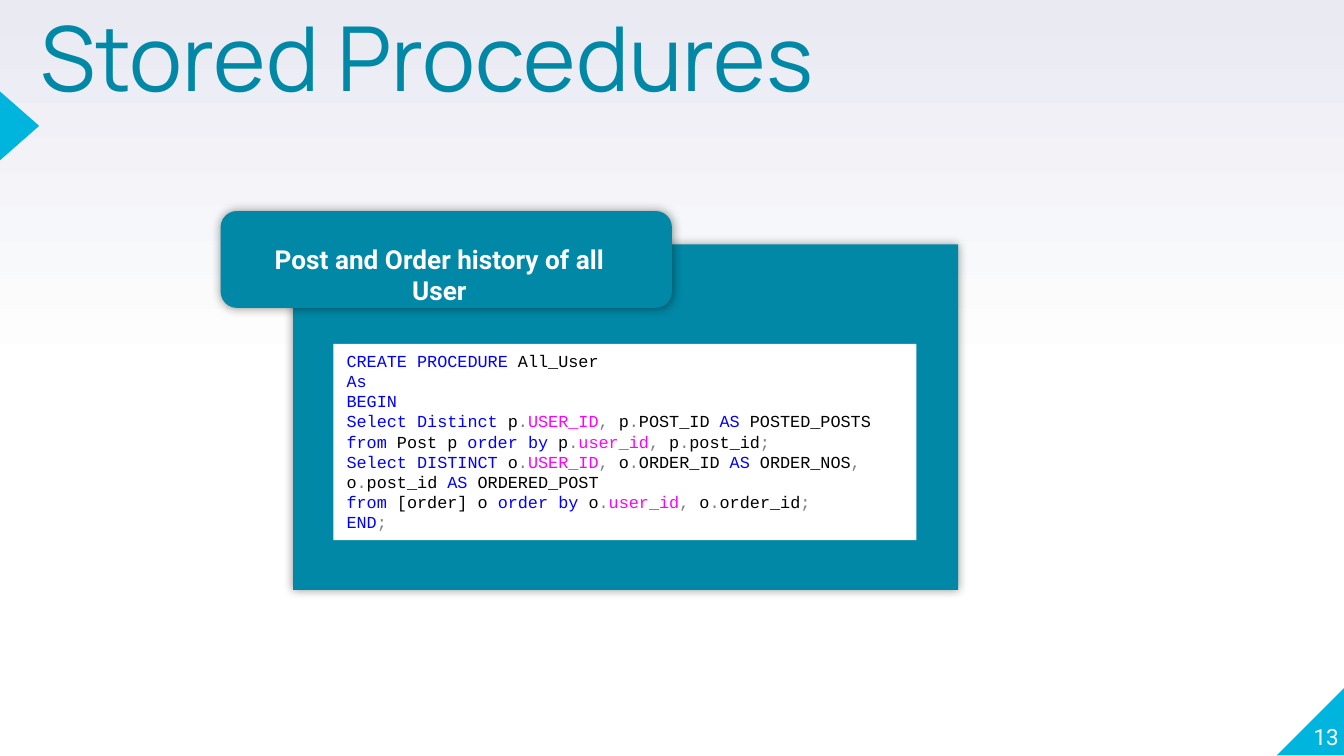
import copy
import itertools

import pptx
import pptx.dml.color
import pptx.enum.shapes
import pptx.enum.text
import pptx.oxml
import pptx.oxml.ns
import pptx.util

Cm = pptx.util.Cm
Kind = pptx.enum.shapes.MSO_SHAPE
Align = pptx.enum.text.PP_ALIGN
Anchor = pptx.enum.text.MSO_ANCHOR

HUES = {
    "teal": "0088A6", "cyan": "00B5DD", "white": "FFFFFF", "mist": "E9EAF2",
    "black": "000000", "blue": "0000FF", "grey": "808080", "pink": "FF00FF",
}
KEYS = {"create", "procedure", "as", "begin", "select", "distinct",
        "from", "order", "by", "end"}
CODE = [
    "CREATE PROCEDURE All_User",
    "As",
    "BEGIN",
    "Select Distinct p.USER_ID, p.POST_ID AS POSTED_POSTS "
    "from Post p order by p.user_id, p.post_id;",
    "Select DISTINCT o.USER_ID, o.ORDER_ID AS ORDER_NOS, "
    "o.post_id AS ORDERED_POST",
    "from [order] o order by o.user_id, o.order_id;",
    "END;",
]


def rgb(hue):
    return pptx.dml.color.RGBColor.from_string(HUES[hue])


def add_back(slide):
    """Fade from white in the lower half to mist at the top."""
    fill = slide.background.fill
    fill.gradient()
    fill.gradient_angle = 90
    stops = slide.element.find(".//" + pptx.oxml.ns.qn("a:gsLst"))
    stops.insert(1, copy.deepcopy(stops[0]))
    marks = [(0, "white"), (0.5, "white"), (1, "mist")]
    for stop, (place, hue) in zip(fill.gradient_stops, marks):
        stop.position = place
        stop.color.rgb = rgb(hue)


def add_form(shapes, kind, box, hue):
    form = shapes.add_shape(kind, *map(Cm, box))
    form.shadow.inherit = False
    form.fill.solid()
    form.fill.fore_color.rgb = rgb(hue)
    form.line.fill.background()
    return form


def add_glow(form):
    """Give a form a soft shadow on all sides."""
    space = pptx.oxml.ns.nsdecls("a")
    glow = pptx.oxml.parse_xml(
        f'<a:outerShdw {space} blurRad="{pptx.util.Pt(5)}" dist="0" dir="0" '
        f'algn="ctr" rotWithShape="0"><a:srgbClr val="{HUES["black"]}">'
        '<a:alpha val="40000"/></a:srgbClr></a:outerShdw>')
    form.element.spPr.find(pptx.oxml.ns.qn("a:effectLst")).append(glow)


def set_frame(shape, anchor=Anchor.TOP, bare=False):
    frame = shape.text_frame
    frame.word_wrap = True
    frame.vertical_anchor = anchor
    if bare:
        frame.margin_left = frame.margin_right = 0
        frame.margin_top = frame.margin_bottom = 0
    return frame


def add_run(para, text, face, size, hue, bold=False):
    run = para.add_run()
    run.text = text
    run.font.name = face
    run.font.size = pptx.util.Pt(size)
    run.font.color.rgb = rgb(hue)
    run.font.bold = bold


def add_label(shapes, box, anchor):
    return set_frame(shapes.add_textbox(*map(Cm, box)), anchor, True)


def sort_char(char):
    return "gap" if char == " " else "mark" if char in ".,;" else "word"


def pick_hue(sort, text):
    if sort == "mark":
        return "grey"
    if text.lower() in KEYS:
        return "blue"
    return "pink" if text.lower() == "user_id" else "black"


def add_code(frame):
    """Write the code, coloured by the sort of each token."""
    for row, line in enumerate(CODE):
        para = frame.add_paragraph() if row else frame.paragraphs[0]
        para.alignment = Align.LEFT
        for sort, chars in itertools.groupby(line, sort_char):
            text = "".join(chars)
            add_run(para, text, "Courier New", 9, pick_hue(sort, text))


def main():
    deck = pptx.Presentation()
    deck.slide_width, deck.slide_height = Cm(25.4), Cm(14.29)
    slide = deck.slides.add_slide(deck.slide_layouts[6])
    shapes = slide.shapes
    add_back(slide)

    # Corner and edge triangles
    corner = add_form(shapes, Kind.RIGHT_TRIANGLE,
                      (24.13, 12.98, 1.3, 1.3), "cyan")
    corner.element.spPr.xfrm.set("flipH", "1")
    edge = add_form(shapes, Kind.ISOSCELES_TRIANGLE,
                    (-0.28, 2.01, 1.3, 0.74), "cyan")
    edge.rotation = 90

    # Title and slide number
    title = add_label(shapes, (0.76, 0.43, 15.11, 1.83), Anchor.TOP)
    title.paragraphs[0].line_spacing = 0.8
    add_run(title.paragraphs[0], "Stored Procedures", "Manrope", 48, "teal")
    number = add_label(shapes, (24.03, 12.88, 1.27, 1.3), Anchor.BOTTOM)
    number.paragraphs[0].alignment = Align.RIGHT
    add_run(number.paragraphs[0], "13", "Roboto", 12, "white")

    # Panel with its heading tab
    group = shapes.add_group_shape().shapes
    add_glow(add_form(group, Kind.RECTANGLE,
                      (5.54, 4.62, 12.57, 6.53), "teal"))
    add_glow(add_form(group, Kind.ROUNDED_RECTANGLE,
                      (4.17, 3.99, 8.53, 1.83), "teal"))
    head = set_frame(add_form(group, Kind.RECTANGLE,
                              (4.62, 4.47, 7.37, 0.86), "teal"))
    head.paragraphs[0].alignment = Align.CENTER
    add_run(head.paragraphs[0], "Post and Order history of all User",
            "Roboto", 14, "white", True)

    # Code
    add_code(set_frame(add_form(shapes, Kind.RECTANGLE,
                                (6.3, 6.5, 11.02, 3.71), "white")))

    deck.save("out.pptx")


if __name__ == "__main__":
    main()
